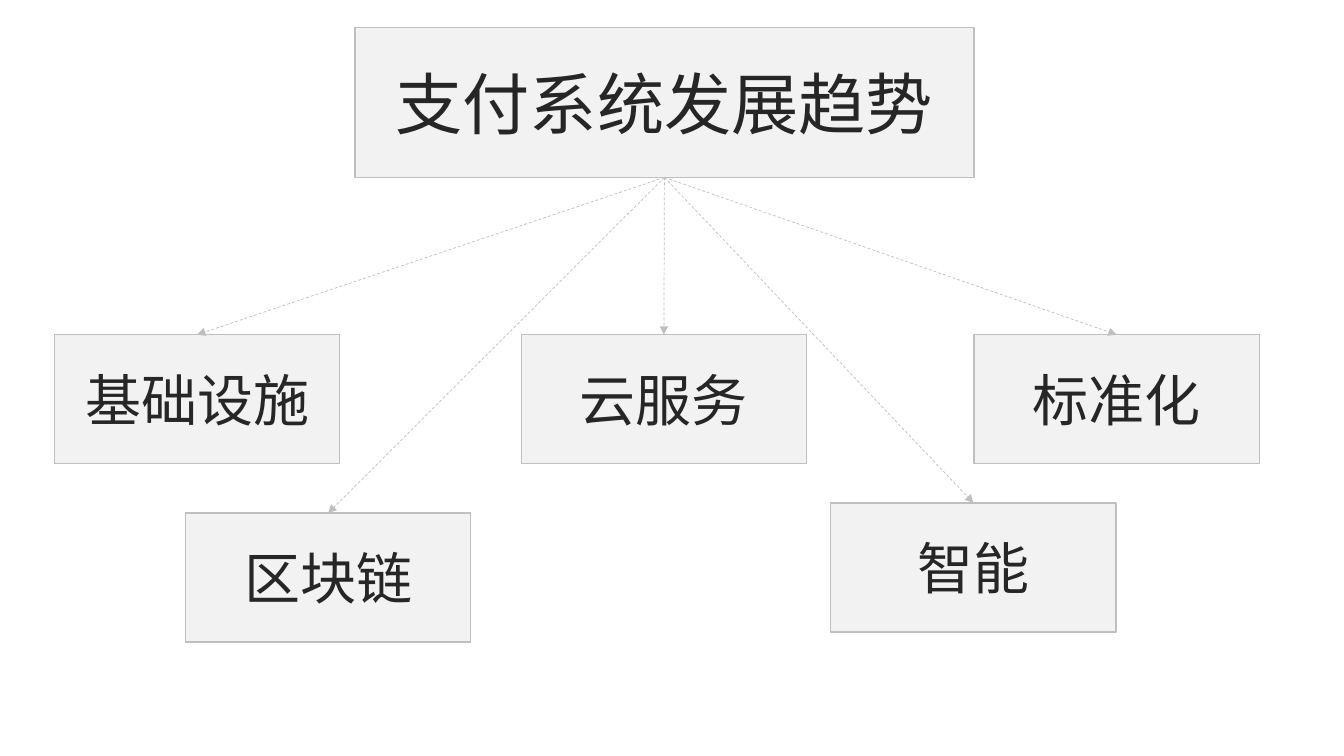
from lxml import etree
from pptx import Presentation
from pptx import util as u
from pptx.dml.color import RGBColor
from pptx.enum import dml, shapes, text
from pptx.oxml.ns import qn

COLORS = {"fill": "F2F2F2", "line": "BFBFBF", "text": "262626"}
FONT = "Noto Sans CJK SC"
BOTTOM, TOP = 2, 0


class TrendSlide:
    def __init__(self, prs):
        self.s = prs.slides.add_slide(prs.slide_layouts[6])

    def color(self, name):
        return RGBColor.from_string(COLORS[name])

    def box(self, label, x, y, w=2.83, h=1.28, size=40):
        sp = self.s.shapes.add_shape(
            shapes.MSO_SHAPE.RECTANGLE,
            u.Inches(x), u.Inches(y), u.Inches(w), u.Inches(h))
        sp.shadow.inherit = False
        sp.fill.solid()
        sp.fill.fore_color.rgb = self.color("fill")
        sp.line.color.rgb = self.color("line")
        sp.line.width = u.Pt(1)
        tf = sp.text_frame
        tf.word_wrap = True
        tf.vertical_anchor = text.MSO_ANCHOR.MIDDLE
        p = tf.paragraphs[0]
        p.text = label
        p.alignment = text.PP_ALIGN.CENTER
        p.font.size = u.Pt(size)
        p.font.color.rgb = self.color("text")
        p.font.name = FONT
        latin = p._p.pPr.find(qn("a:defRPr")).find(qn("a:latin"))
        ea = etree.Element(qn("a:ea"), typeface=FONT)
        latin.addnext(ea)
        return sp

    def arrow(self, start, end):
        c = self.s.shapes.add_connector(shapes.MSO_CONNECTOR.STRAIGHT, 0, 0, 0, 0)
        c.begin_connect(start, BOTTOM)
        c.end_connect(end, TOP)
        c.line.color.rgb = self.color("line")
        c.line.width = u.Pt(0.5)
        c.line.dash_style = dml.MSO_LINE.DASH
        etree.SubElement(c.line._get_or_add_ln(), qn("a:tailEnd"), type="triangle")
        etree.SubElement(c._element.spPr, qn("a:effectLst"))


def main():
    prs = Presentation()
    prs.slide_width, prs.slide_height = u.Inches(13.33), u.Inches(7.5)
    slide = TrendSlide(prs)
    title = slide.box("支付系统发展趋势", 3.52, 0.27, 6.14, 1.49, 48)
    trends = [
        ("基础设施", 0.54, 3.32),
        ("云服务", 5.17, 3.32),
        ("标准化", 9.66, 3.32),
        ("区块链", 1.84, 5.09),
        ("智能", 8.24, 4.99),
    ]
    for label, x, y in trends:
        slide.arrow(title, slide.box(label, x, y))
    prs.save("out.pptx")


if __name__ == "__main__":
    main()
